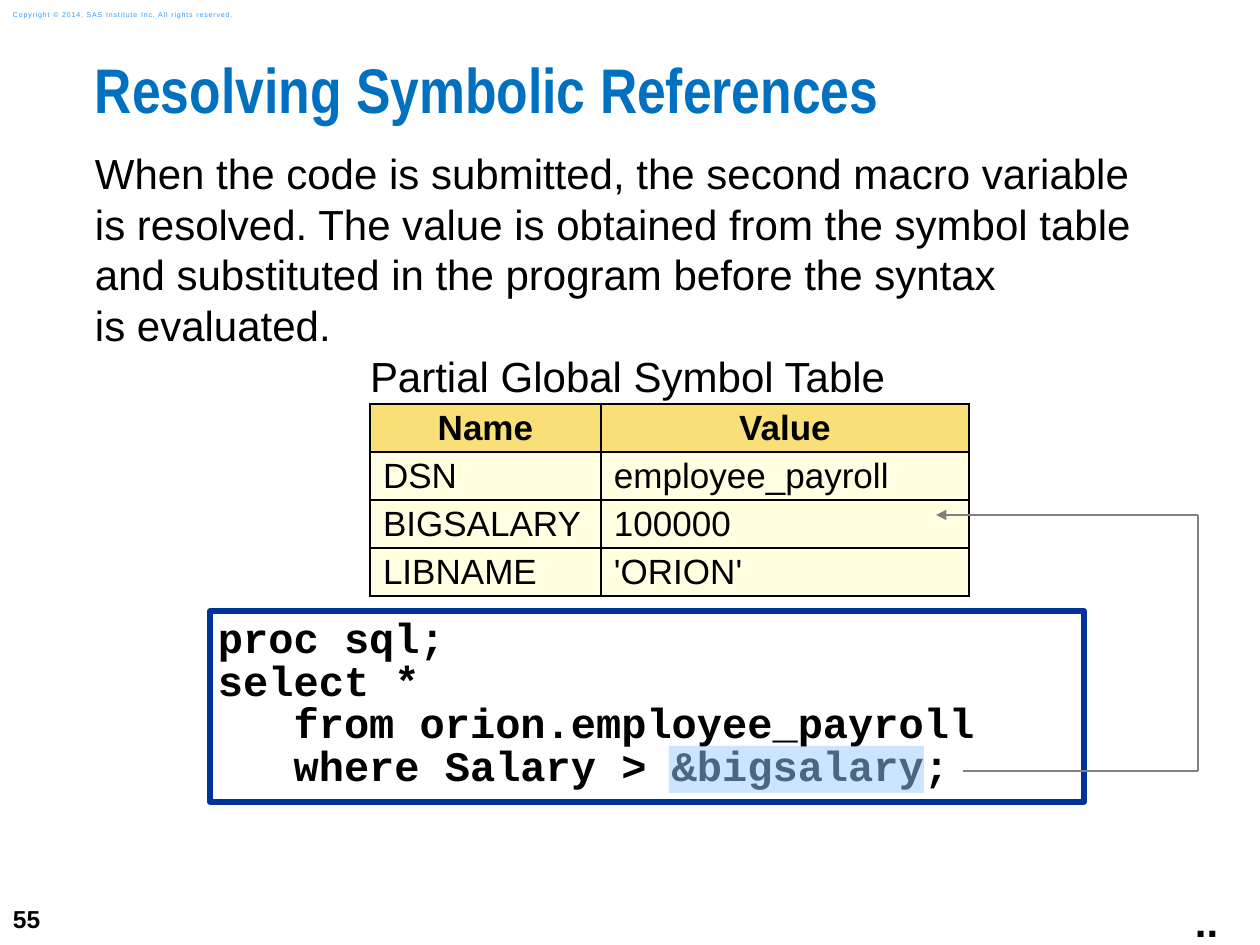
import pptx
import pptx.util
import pptx.dml.color
import pptx.enum.shapes
import pptx.enum.text
import pptx.oxml
import pptx.oxml.ns
import lxml.etree

SCALE = 914400 / 126
ALIGN = pptx.enum.text.PP_ALIGN
MIDDLE = pptx.enum.text.MSO_ANCHOR.MIDDLE
RECT = pptx.enum.shapes.MSO_SHAPE.RECTANGLE


def px(*sizes):
    return [pptx.util.Emu(round(size * SCALE)) for size in sizes]


def rgb(code):
    return pptx.dml.color.RGBColor.from_string(code)


def sub(node, tag, **attrs):
    """Append a drawing element to node."""
    child = lxml.etree.SubElement(node, pptx.oxml.ns.qn(tag))
    for key, value in attrs.items():
        child.set(key, value)
    return child


def write(frame, text, size, color="000000", font="Arial", bold=False,
          space=None, align=ALIGN.LEFT):
    frame.text = text
    for para in frame.paragraphs:
        para.alignment = align
        if space:
            para.line_spacing = space
        for run in para.runs:
            run.font.size = pptx.util.Pt(size)
            run.font.name = font
            run.font.bold = bold
            run.font.color.rgb = rgb(color)


def inset(frame, side, top):
    frame.margin_left, frame.margin_right = px(side, side)
    frame.margin_top, frame.margin_bottom = px(top, top)


def label(slide, box, text, size, side=0, top=0, wrap=True, anchor=None,
          **style):
    frame = slide.shapes.add_textbox(*px(*box)).text_frame
    frame.word_wrap = wrap
    inset(frame, side, top)
    if anchor is not None:
        frame.vertical_anchor = anchor
    write(frame, text, size, **style)
    return frame


def panel(slide, box, fill, edge=None):
    shape = slide.shapes.add_shape(RECT, *px(*box))
    shape.shadow.inherit = False
    shape.fill.solid()
    shape.fill.fore_color.rgb = rgb(fill)
    if edge:
        shape.line.color.rgb = rgb(edge)
        shape.line.width = pptx.util.Pt(3)
    else:
        shape.line.fill.background()
    return shape


def wire(slide, start, end, arrow=False):
    line = slide.shapes.add_connector(
        pptx.enum.shapes.MSO_CONNECTOR.STRAIGHT, *px(*start, *end))
    line.line.color.rgb = rgb("808080")
    line.line.width = pptx.util.Pt(1.5)
    if arrow:
        sub(line.line._get_or_add_ln(), "a:tailEnd", type="triangle")
    sub(line._element.spPr, "a:effectLst")


def border(cell, sides):
    """Draw black edges on the named sides and none on the others."""
    props = cell._tc.get_or_add_tcPr()
    for spot, side in enumerate("LRTB"):
        edge = sub(props, "a:ln" + side, w="12700")
        if side in sides:
            sub(sub(edge, "a:solidFill"), "a:srgbClr", val="000000")
        else:
            sub(edge, "a:noFill")
        props.insert(spot, edge)


def paint(cell, text, size, fill, side, sides="LRTB", **style):
    inset(cell, side, 0)
    cell.vertical_anchor = MIDDLE
    cell.fill.solid()
    cell.fill.fore_color.rgb = rgb(fill)
    write(cell.text_frame, text, size, **style)
    border(cell, sides)


def symbols(slide):
    rows = [("Name", "Value"), ("DSN", "employee_payroll"),
            ("BIGSALARY", "100000"), ("LIBNAME", "'ORION'")]
    widths, heights = [231, 368], [52] + [48] * len(rows)
    grid = slide.shapes.add_table(
        len(heights), 2, *px(370, 352, sum(widths), sum(heights))).table
    grid.first_row = grid.horz_banding = False
    for col, width in zip(grid.columns, px(*widths)):
        col.width = width
    for row, height in zip(grid.rows, px(*heights)):
        row.height = height
    grid.cell(0, 0).merge(grid.cell(0, 1))
    paint(grid.cell(0, 0), "Partial Global Symbol Table", 24, "FFFFFF", 0, "B")
    border(grid.cell(0, 1), "B")
    for r, row in enumerate(rows, 1):
        head = r == 1
        for c, text in enumerate(row):
            paint(grid.cell(r, c), text, 20, "F9DF78" if head else "FFFFE1",
                  13, bold=head, align=ALIGN.CENTER if head else ALIGN.LEFT)


def program(slide):
    shape = panel(slide, (210, 611, 874, 191), "FFFFFF", "003399")
    frame = shape.text_frame
    frame.word_wrap = True
    frame.vertical_anchor = pptx.enum.text.MSO_ANCHOR.TOP
    inset(frame, 8, 8)
    code = ["proc sql;", "select *", "   from orion.employee_payroll",
            "   where Salary > &bigsalary;"]
    write(frame, "\n".join(code), 24, font="Courier New", bold=True,
          space=0.85)
    glow = panel(slide, (669, 746, 255, 47), "99CCFF")
    tint = glow._element.spPr.find(".//" + pptx.oxml.ns.qn("a:srgbClr"))
    sub(tint, "a:alpha", val="50000")


def main():
    deck = pptx.Presentation()
    deck.slide_width, deck.slide_height = px(1260, 945)
    slide = deck.slides.add_slide(deck.slide_layouts[6])

    label(slide, (0, 892, 73, 53), "55", 14, 13, 6, wrap=False,
          anchor=MIDDLE, bold=True)
    note = label(slide, (0, 4, 266, 21),
                 "Copyright © 2014, SAS Institute Inc. All rights reserved.",
                 4, 13, 6, anchor=MIDDLE, color="2A9CFF")
    note.paragraphs[0].runs[0].font._element.set("spc", "50")
    label(slide, (95, 63, 1165, 95), "Resolving Symbolic References", 36,
          color="0070C0", font="Arial Narrow", bold=True, space=0.83)
    label(slide, (95, 148, 1081, 230),
          "When the code is submitted, the second macro variable \v"
          "is resolved. The value is obtained from the symbol table and "
          "substituted in the program before the syntax \vis evaluated.", 24)
    program(slide)
    label(slide, (1182, 890, 60, 64), "...", 24, 13, 6, wrap=False, bold=True)
    symbols(slide)
    wire(slide, (963, 771), (1198, 771))
    wire(slide, (1198, 771), (1198, 515))
    wire(slide, (1198, 515), (936, 515), arrow=True)
    deck.save("out.pptx")


if __name__ == "__main__":
    main()
